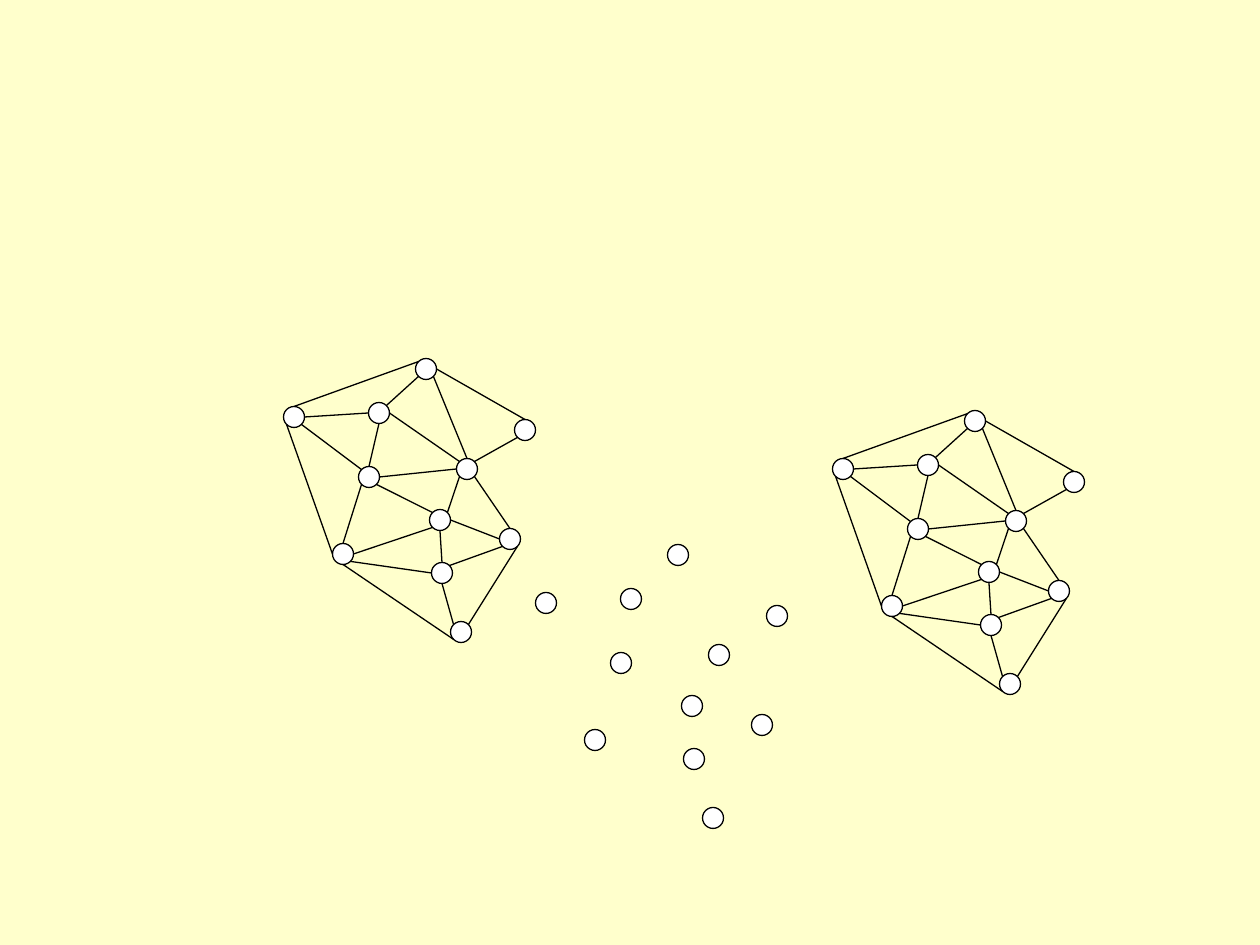
from math import cos, radians, sin

from pptx import Presentation
from pptx.dml.color import RGBColor
from pptx.enum.shapes import MSO_CONNECTOR, MSO_SHAPE
from pptx.oxml.ns import qn
from pptx.util import Emu, Pt

SCALE = 914400 / 126
DIAMETER = 21

# Node centres, in px, relative to the offset of each graph
NODES = {
    "hub": (440, 520),
    "left": (294, 417),
    "top": (426, 369),
    "right": (525, 430),
    "centre": (467, 469),
    "east": (510, 539),
    "bottom": (461, 632),
    "low": (442, 573),
    "west": (343, 554),
    "mid": (369, 477),
    "upper": (379, 413),
}

# Angle of each point on a node's rim where an edge can end
RIM = {"E": 0, "SE": 45, "S": 90, "SW": 135, "W": 180, "NW": 225, "N": 270, "NE": 315}

EDGES = [
    ("left", "N", "top", "NW"),
    ("left", "E", "upper", "W"),
    ("top", "SW", "upper", "NE"),
    ("top", "E", "right", "N"),
    ("top", "SE", "centre", "N"),
    ("centre", "NE", "right", "SW"),
    ("upper", "E", "centre", "NW"),
    ("left", "SE", "mid", "NW"),
    ("upper", "S", "mid", "N"),
    ("mid", "E", "centre", "W"),
    ("centre", "SE", "east", "N"),
    ("centre", "SW", "hub", "NE"),
    ("mid", "SE", "hub", "NW"),
    ("hub", "S", "low", "N"),
    ("hub", "E", "east", "W"),
    ("low", "NE", "east", "SW"),
    ("east", "SE", "bottom", "NE"),
    ("low", "S", "bottom", "NW"),
    ("west", "E", "hub", "SW"),
    ("mid", "SW", "west", "N"),
    ("left", "SW", "west", "W"),
    ("west", "SE", "low", "W"),
    ("west", "S", "bottom", "SW"),
]


def px(value):
    return Emu(round(value * SCALE))


def color(value):
    return RGBColor.from_string(value)


def style_line(line):
    line.color.rgb = color("000000")
    line.width = Pt(0.75)


def add_node(group, x, y):
    """Add a circle centred on x, y."""
    node = group.shapes.add_shape(
        MSO_SHAPE.OVAL, px(x - DIAMETER / 2), px(y - DIAMETER / 2), px(DIAMETER), px(DIAMETER)
    )
    node.shadow.inherit = False
    node.fill.solid()
    node.fill.fore_color.rgb = color("FFFFFF")
    style_line(node.line)


def rim_point(centre, side):
    angle = radians(RIM[side])
    x, y = centre
    return px(x + DIAMETER / 2 * cos(angle)), px(y + DIAMETER / 2 * sin(angle))


def add_edge(group, start, end):
    edge = group.shapes.add_connector(MSO_CONNECTOR.STRAIGHT, *start, *end)
    style_line(edge.line)
    properties = edge._element.spPr
    properties.append(properties.makeelement(qn("a:effectLst"), {}))


def add_graph(slide, dx, dy, edges=()):
    """Add one grouped set of nodes, shifted by dx, dy, with its edges."""
    group = slide.shapes.add_group_shape()
    centres = {name: (x + dx, y + dy) for name, (x, y) in NODES.items()}
    for centre in centres.values():
        add_node(group, *centre)
    for first, first_side, second, second_side in edges:
        add_edge(
            group,
            rim_point(centres[first], first_side),
            rim_point(centres[second], second_side),
        )


def main():
    presentation = Presentation()
    presentation.slide_width, presentation.slide_height = px(1260), px(945)
    slide = presentation.slides.add_slide(presentation.slide_layouts[6])
    slide.background.fill.solid()
    slide.background.fill.fore_color.rgb = color("FFFFCC")

    add_graph(slide, 252, 186)
    add_graph(slide, 549, 52, EDGES)
    add_graph(slide, 0, 0, EDGES)
    presentation.save("out.pptx")


if __name__ == "__main__":
    main()
